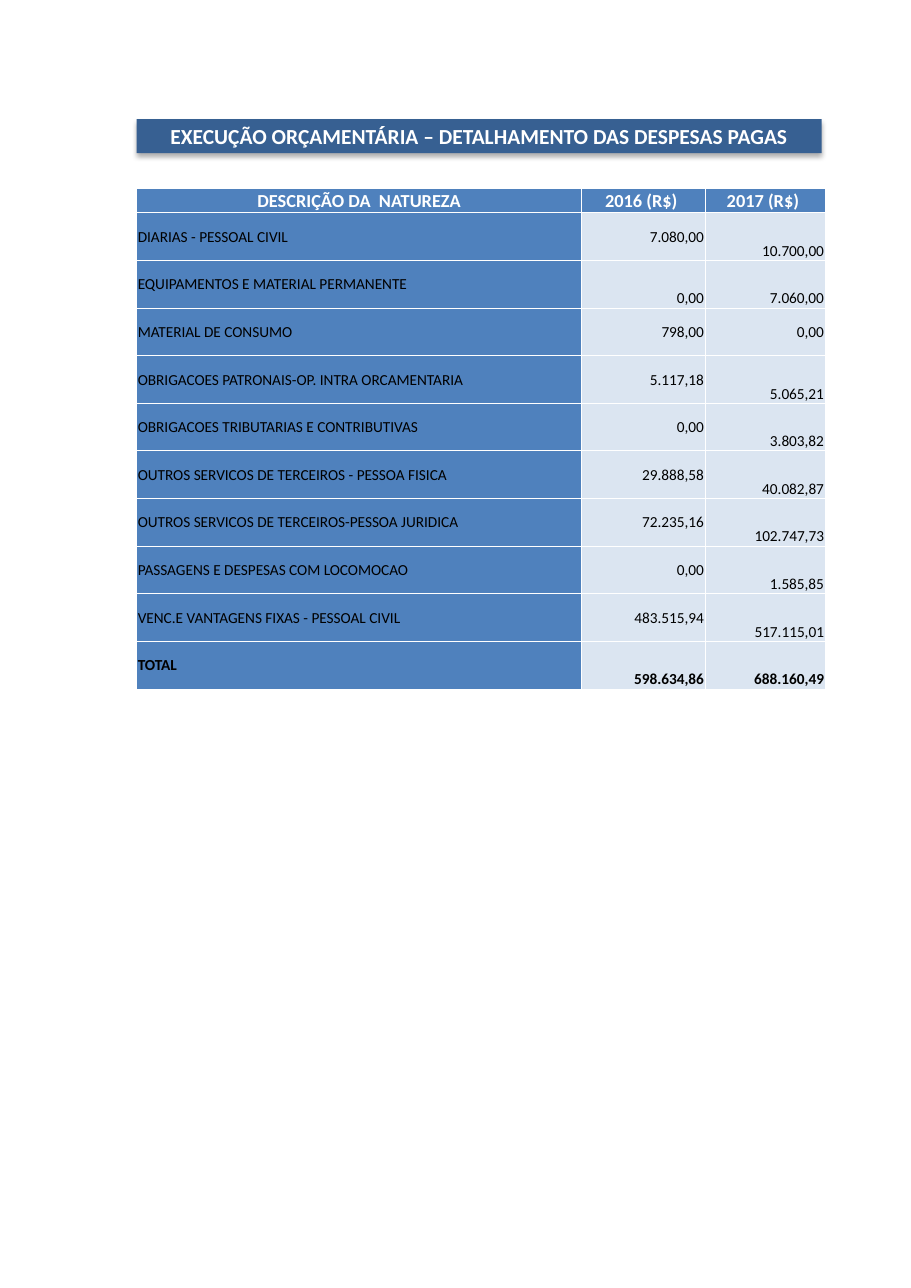
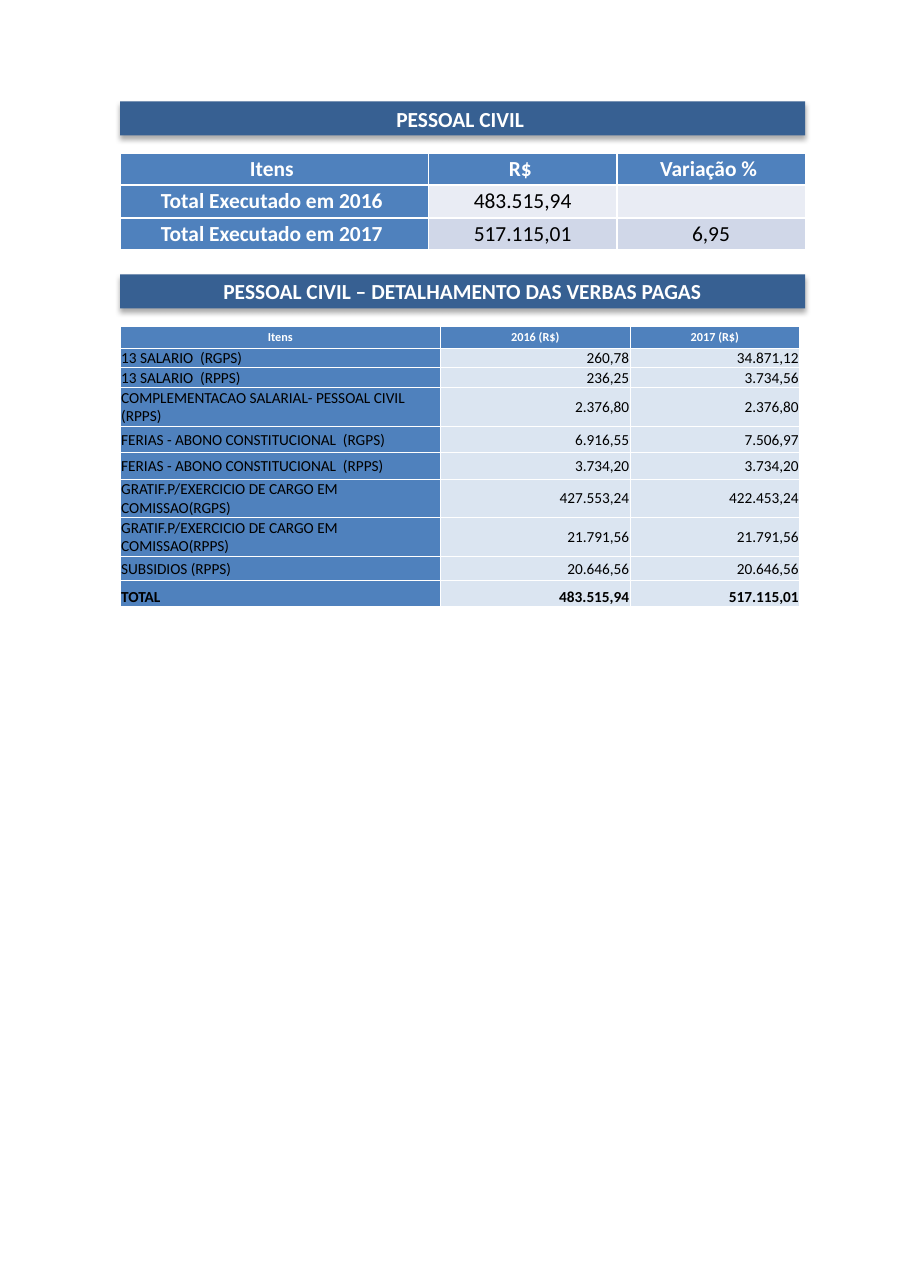
"""Build two portrait slides of budget spending tables."""
from dataclasses import dataclass

from lxml import etree
from pptx import Presentation
from pptx.dml.color import RGBColor
from pptx.enum.shapes import MSO_SHAPE
from pptx.enum.text import MSO_ANCHOR, MSO_AUTO_SIZE, PP_ALIGN
from pptx.oxml import parse_xml
from pptx.oxml.ns import nsdecls, qn
from pptx.util import Inches, Pt

RECT = MSO_SHAPE.RECTANGLE
LEFT, MID, RIGHT = PP_ALIGN.LEFT, PP_ALIGN.CENTER, PP_ALIGN.RIGHT
ANCHOR = {"m": MSO_ANCHOR.MIDDLE, "b": MSO_ANCHOR.BOTTOM}
FIXED = MSO_AUTO_SIZE.NONE


@dataclass(frozen=True)
class Theme:
    font: str = "Calibri"
    band: str = "376092"
    head: str = "4F81BD"
    white: str = "FFFFFF"
    black: str = "000000"
    tint: tuple = ("DBE5F1", "DBE5F1")
    stripe: tuple = ("D0D7E8", "E9ECF4")
    large: int = 14
    mid: int = 12
    body: int = 10
    small: int = 8


T = Theme()
deck = Presentation()
deck.slide_width, deck.slide_height = Inches(8.27), Inches(11.69)
COL, ROW = deck.slide_width / 100, deck.slide_height / 100


def write(frame, text, size, color, bold, align):
    para = frame.paragraphs[0]
    para.alignment = align
    if not text:
        etree.SubElement(para._p, qn("a:endParaRPr"), sz=str(size * 100))
        return
    run = para.add_run()
    run.text = text
    font = run.font
    font.name, font.size, font.bold = T.font, Pt(size), bold
    font.color.rgb = RGBColor.from_string(color)


def fill_grid(slide, left, top, cols, rows, data, sizes, plain):
    frame = slide.shapes.add_table(
        len(rows), len(cols), int(left * COL), int(top * ROW),
        int(sum(cols) * COL), int(sum(rows) * ROW))
    table = frame.table
    table.first_row = table.horz_banding = False
    for c, width in enumerate(cols):
        table.columns[c].width = int(width * COL)
    for r, (high, (texts, marks)) in enumerate(zip(rows, data)):
        table.rows[r].height = int(high * ROW)
        for c, text in enumerate(texts):
            cell = table.cell(r, c)
            edge = 0 if plain else Pt(0.75)
            cell.margin_left = cell.margin_right = cell.margin_top = edge
            cell.margin_bottom = 0
            cell.vertical_anchor = ANCHOR[marks[c]]
            tints = T.stripe if plain else T.tint
            head = r == 0 or c == 0
            cell.fill.solid()
            cell.fill.fore_color.rgb = RGBColor.from_string(
                T.head if head else tints[r % 2])
            bright = r == 0 or (plain and c == 0)
            align = MID if plain or r == 0 else RIGHT if c else LEFT
            write(cell.text_frame, text, sizes[r > 0],
                  T.white if bright else T.black,
                  bright or texts[0] == "TOTAL", align)
            props = cell._tc.get_or_add_tcPr()
            for i, side in enumerate("LRTB"):
                thick = plain and (r, side) in ((0, "B"), (1, "T"))
                width = Pt(1.5 if thick else 1 if plain else 0.5)
                props.insert(i, parse_xml(
                    f'<a:ln{side} {nsdecls("a")} w="{width}"><a:solidFill>'
                    f'<a:srgbClr val="{T.white}"/></a:solidFill></a:ln{side}>'))


spend = [
    (("DESCRIÇÃO DA  NATUREZA", "2016 (R$) ", "2017 (R$) "), "mmm"),
    (("DIARIAS - PESSOAL CIVIL", "7.080,00", "10.700,00"), "mmb"),
    (("EQUIPAMENTOS E MATERIAL PERMANENTE", "0,00", "7.060,00"), "mbb"),
    (("MATERIAL DE CONSUMO", "798,00", "0,00"), "mmm"),
    (("OBRIGACOES PATRONAIS-OP. INTRA ORCAMENTARIA", "5.117,18", "5.065,21"), "mmb"),
    (("OBRIGACOES TRIBUTARIAS E CONTRIBUTIVAS", "0,00", "3.803,82"), "mmb"),
    (("OUTROS SERVICOS DE TERCEIROS - PESSOA FISICA", "29.888,58", "40.082,87"), "mmb"),
    (("OUTROS SERVICOS DE TERCEIROS-PESSOA JURIDICA", "72.235,16", "102.747,73"), "mmb"),
    (("PASSAGENS E DESPESAS COM LOCOMOCAO", "0,00", "1.585,85"), "mmb"),
    (("VENC.E VANTAGENS FIXAS - PESSOAL CIVIL", "483.515,94", "517.115,01"), "mmb"),
    (("TOTAL", "598.634,86", "688.160,49"), "mbb"),
]
change = [
    (("Itens ", "R$ ", "Variação % "), "mmm"),
    (("Total Executado em 2016 ", "483.515,94", ""), "mmm"),
    (("Total Executado em 2017 ", "517.115,01", "6,95"), "mmm"),
]
wages = [
    (("Itens", "2016 (R$)", "2017 (R$)"), "mmm"),
    (("13 SALARIO  (RGPS)", "260,78", "34.871,12"), "mmm"),
    (("13 SALARIO  (RPPS)", "236,25", "3.734,56"), "mmm"),
    (("COMPLEMENTACAO SALARIAL- PESSOAL CIVIL (RPPS)", "2.376,80", "2.376,80"), "mmm"),
    (("FERIAS - ABONO CONSTITUCIONAL  (RGPS)", "6.916,55", "7.506,97"), "mmm"),
    (("FERIAS - ABONO CONSTITUCIONAL  (RPPS)", "3.734,20", "3.734,20"), "mmm"),
    (("GRATIF.P/EXERCICIO DE CARGO EM COMISSAO(RGPS)", "427.553,24", "422.453,24"), "mmm"),
    (("GRATIF.P/EXERCICIO DE CARGO EM COMISSAO(RPPS)", "21.791,56", "21.791,56"), "mmm"),
    (("SUBSIDIOS (RPPS)", "20.646,56", "20.646,56"), "mmm"),
    (("TOTAL", "483.515,94", "517.115,01"), "bbb"),
]

pages = [
    (15, [(9.24, "EXECUÇÃO ORÇAMENTÁRIA – DETALHAMENTO DAS DESPESAS PAGAS")],
     [(14.63, (48.85, 13.54, 13.18), [1.88] + [3.7] * 10,
       spend, (T.mid, T.body), False)]),
    (13.18, [(7.87, "PESSOAL CIVIL "),
             (21.3, "PESSOAL CIVIL – DETALHAMENTO DAS VERBAS PAGAS")],
     [(11.89, (33.86, 20.68, 20.68), (2.48, 2.57, 2.48),
       change, (T.large, T.large), True),
      (25.32, (35.19, 20.8, 18.62),
       (1.71, 1.5, 1.5, 3, 2.05, 2.05, 3, 3, 1.88, 2.05),
       wages, (T.small, T.body), False)]),
]

for left, bands, grids in pages:
    slide = deck.slides.add_slide(deck.slide_layouts[5])
    for i, (top, text) in enumerate(bands):
        box = [int(v) for v in (left * COL, top * ROW, 75.2 * COL, 2.65 * ROW)]
        band = slide.shapes.add_shape(RECT, *box) if i else slide.shapes.title
        band.left, band.top, band.width, band.height = box
        band.fill.solid()
        band.fill.fore_color.rgb = RGBColor.from_string(T.band)
        band.line.fill.background()
        band._element.spPr.append(parse_xml(
            f'<a:effectLst {nsdecls("a")}><a:outerShdw blurRad="{Pt(3.5)}" '
            f'dist="{Pt(2.2)}" dir="5400000" rotWithShape="0">'
            f'<a:srgbClr val="{T.black}"><a:alpha val="32000"/></a:srgbClr>'
            '</a:outerShdw></a:effectLst>'))
        frame = band.text_frame
        frame.word_wrap, frame.auto_size = True, FIXED
        frame.vertical_anchor = ANCHOR["m"]
        write(frame, text, T.large, T.white, True, MID)
    for top, *rest in grids:
        fill_grid(slide, left, top, *rest)

deck.save("out.pptx")
